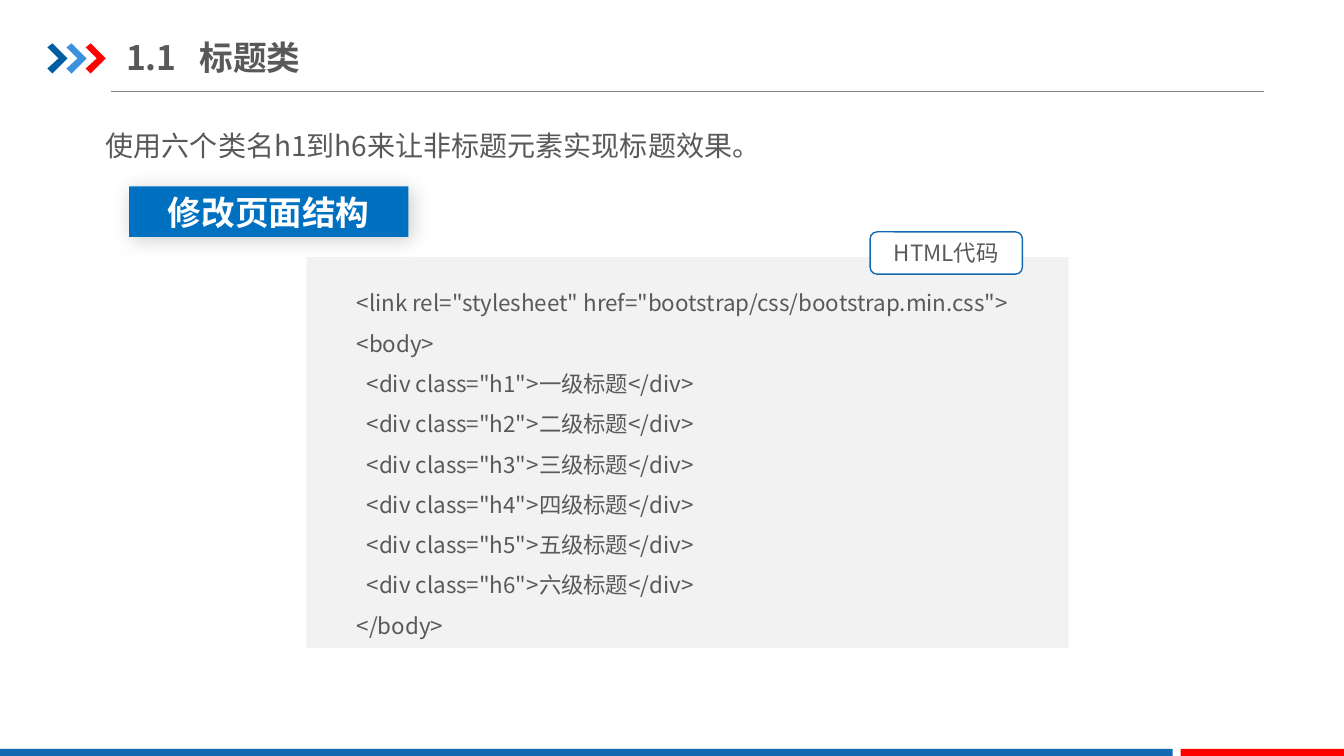
from dataclasses import dataclass
from typing import Optional

from lxml import etree
from pptx import Presentation
from pptx.dml.color import RGBColor
from pptx.enum import shapes, text
from pptx.oxml import ns
from pptx.util import Inches, Pt


@dataclass(frozen=True)
class Theme:
    font: str = "Noto Sans CJK SC"
    label_font: str = "Arial"
    ink: str = "595959"
    white: str = "FFFFFF"
    panel: str = "F2F2F2"
    rule: str = "808080"
    blue: str = "1369B2"
    label_blue: str = "0070C0"
    red: str = "FF0000"
    dark_blue: str = "005DA2"
    light_blue: str = "3992DB"
    heading: int = 24
    body: int = 20
    code: int = 16


@dataclass(frozen=True)
class Box:
    left: float
    top: float
    width: float
    height: float

    def emu(self) -> tuple:
        return tuple(Inches(v) for v in (self.left, self.top, self.width, self.height))


@dataclass(frozen=True)
class Panel:
    box: Box
    fill: str
    line: Optional[str] = None
    kind: shapes.MSO_SHAPE = shapes.MSO_SHAPE.RECTANGLE


@dataclass(frozen=True)
class TextStyle:
    size: int
    color: str = Theme.ink
    font: str = Theme.font
    bold: bool = False
    align: text.PP_ALIGN = text.PP_ALIGN.LEFT
    anchor: text.MSO_ANCHOR = text.MSO_ANCHOR.TOP
    spacing: float = 1.0
    inset_x: float = 0.1
    inset_y: float = 0.05
    tab: Optional[float] = None


T = Theme()
A = ns.nsdecls("a")

CODE = [
    '<link rel="stylesheet" href="bootstrap/css/bootstrap.min.css">',
    "<body>",
    *(f'  <div class="h{n}">{numeral}级标题</div>' for n, numeral in enumerate("一二三四五六", 1)),
    "</body>",
]
CHEVRON = [(0, 0.04), (0.05, 0), (0.2, 0.15), (0.05, 0.3), (0, 0.25), (0.11, 0.15)]
CHEVRON_LEFT, CHEVRON_TOP, CHEVRON_STEP = 0.47, 0.43, 0.19
FOOTER = [
    Panel(Box(0, 7.43, 11.63, 0.07), T.blue),
    Panel(Box(11.71, 7.43, 1.62, 0.07), T.red),
]


def rgb(color: str) -> RGBColor:
    return RGBColor.from_string(color)


def write(sp, lines: list, style: TextStyle) -> None:
    tf = sp.text_frame
    tf.word_wrap = True
    tf.auto_size = text.MSO_AUTO_SIZE.NONE
    tf.vertical_anchor = style.anchor
    tf.margin_left = tf.margin_right = Inches(style.inset_x)
    tf.margin_top = tf.margin_bottom = Inches(style.inset_y)
    tf.text = "\n".join(lines)
    for p in tf.paragraphs:
        p.alignment = style.align
        p.line_spacing = style.spacing
        if style.tab:
            p._p.get_or_add_pPr().append(etree.fromstring(
                f'<a:tabLst {A}><a:tab pos="{Inches(style.tab)}" algn="l"/></a:tabLst>'))
        p.font.name = style.font
        p.font.size = Pt(style.size)
        p.font.bold = style.bold
        p.font.color.rgb = rgb(style.color)
        latin = p.font._element.find(ns.qn("a:latin"))
        latin.addnext(etree.fromstring(f'<a:ea {A} typeface="{style.font}"/>'))


def add_text(slide, box: Box, lines: list, style: TextStyle) -> None:
    write(slide.shapes.add_textbox(*box.emu()), lines, style)


def paint(sp, fill: str, line: Optional[str] = None) -> None:
    sp.shadow.inherit = False
    sp.fill.solid()
    sp.fill.fore_color.rgb = rgb(fill)
    if line:
        sp.line.color.rgb = rgb(line)
        sp.line.width = Pt(1)
    else:
        sp.line.fill.background()


def add_panel(slide, panel: Panel):
    sp = slide.shapes.add_shape(panel.kind, *panel.box.emu())
    paint(sp, panel.fill, panel.line)
    return sp


def add_soft_shadow(sp) -> None:
    effects = sp._element.spPr.find(ns.qn("a:effectLst"))
    effects.append(etree.fromstring(
        f'<a:outerShdw {A} blurRad="{Pt(15)}" dist="{Pt(3)}" dir="2700000" algn="tl" '
        'rotWithShape="0"><a:srgbClr val="000000"><a:alpha val="20000"/></a:srgbClr>'
        '</a:outerShdw>'))


def add_chevron(slide, left: float, color: str) -> None:
    points = [(Inches(left + x), Inches(CHEVRON_TOP + y)) for x, y in CHEVRON]
    builder = slide.shapes.build_freeform(*points[0])
    builder.add_line_segments(points[1:], close=True)
    paint(builder.convert_to_shape(), color)


def add_frame(slide) -> None:
    """Draw the heading rule, the chevrons and the footer bars."""
    rule = slide.shapes.add_connector(
        shapes.MSO_CONNECTOR.STRAIGHT, Inches(1.1), Inches(0.91), Inches(12.54), Inches(0.91))
    rule.line.color.rgb = rgb(T.rule)
    rule.line.width = Pt(0.75)
    etree.SubElement(rule._element.spPr, ns.qn("a:effectLst"))
    for i, color in enumerate((T.dark_blue, T.light_blue, T.red)):
        add_chevron(slide, CHEVRON_LEFT + i * CHEVRON_STEP, color)
    for bar in FOOTER:
        add_panel(slide, bar)


def add_title(slide) -> None:
    title = slide.shapes.title
    title.left, title.top, title.width, title.height = Box(1.25, 0.29, 4.26, 0.55).emu()
    write(title, ["1.1\t标题类"], TextStyle(
        T.heading, bold=True, anchor=text.MSO_ANCHOR.MIDDLE, inset_x=0, inset_y=0.07, tab=0.73))


def add_code(slide) -> None:
    add_panel(slide, Panel(Box(3.04, 2.55, 7.56, 3.88), T.panel))
    add_text(slide, Box(3.44, 2.69, 7.13, 3.74), CODE, TextStyle(T.code, spacing=1.5))
    tag = add_panel(slide, Panel(
        Box(8.63, 2.3, 1.51, 0.42), T.white, T.blue, shapes.MSO_SHAPE.ROUNDED_RECTANGLE))
    write(tag, ["HTML代码"], TextStyle(T.code, align=text.PP_ALIGN.CENTER))


def add_label(slide) -> None:
    label = add_panel(slide, Panel(Box(1.28, 1.85, 2.77, 0.5), T.label_blue))
    add_soft_shadow(label)
    write(label, ["修改页面结构"], TextStyle(
        T.heading, T.white, T.label_font, bold=True,
        align=text.PP_ALIGN.CENTER, anchor=text.MSO_ANCHOR.MIDDLE))


def main() -> None:
    prs = Presentation()
    prs.slide_width, prs.slide_height = Inches(13.33), Inches(7.5)
    slide = prs.slides.add_slide(prs.slide_layouts[5])
    add_frame(slide)
    add_title(slide)
    add_text(slide, Box(0.92, 1.04, 11.42, 0.58),
             ["使用六个类名h1到h6来让非标题元素实现标题效果。"],
             TextStyle(T.body, align=text.PP_ALIGN.JUSTIFY, spacing=1.5,
                       inset_x=0.13, inset_y=0.07))
    add_code(slide)
    add_label(slide)
    prs.save("out.pptx")


if __name__ == "__main__":
    main()
